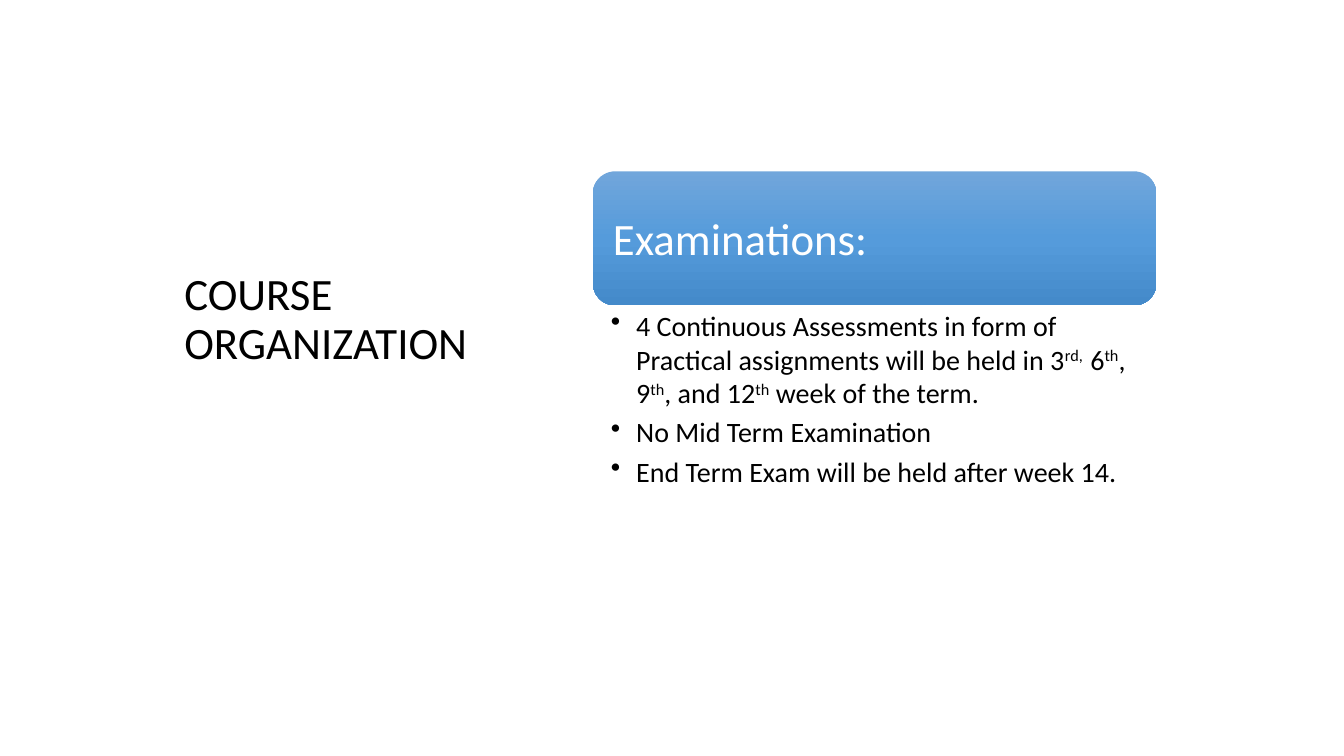
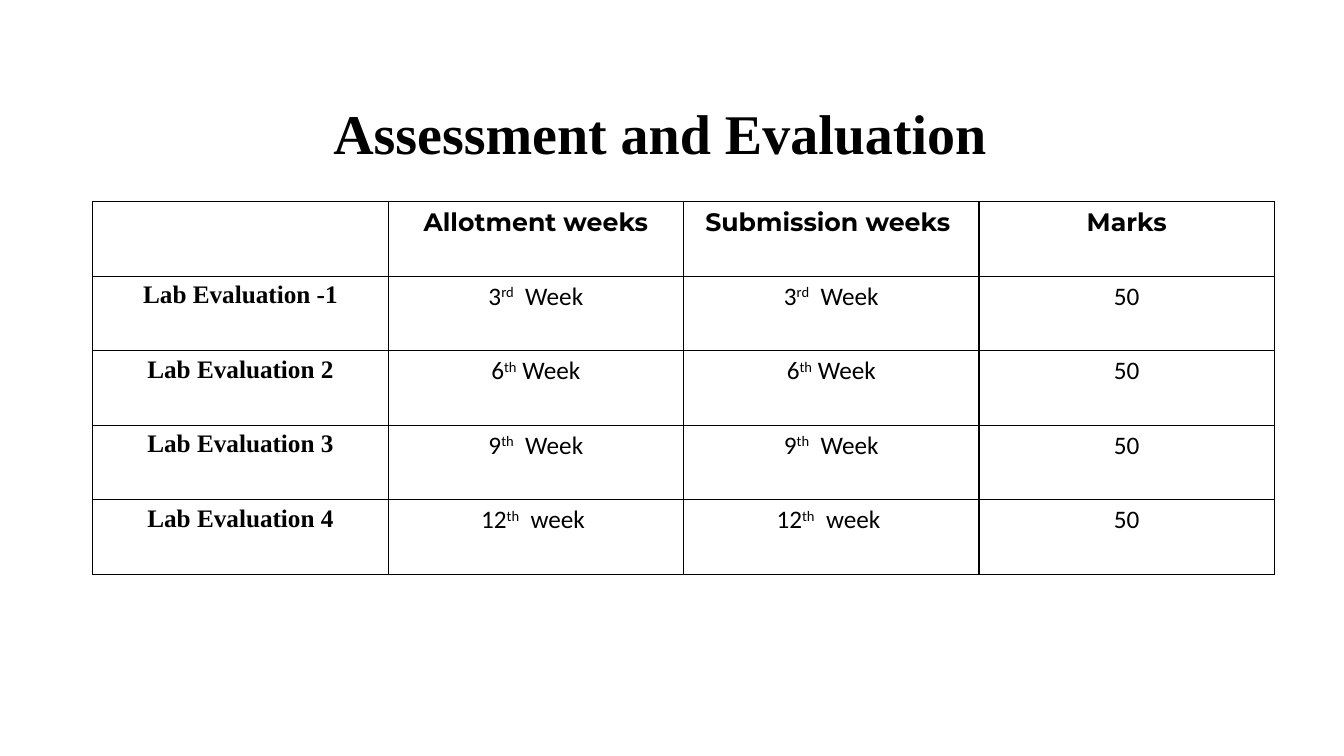
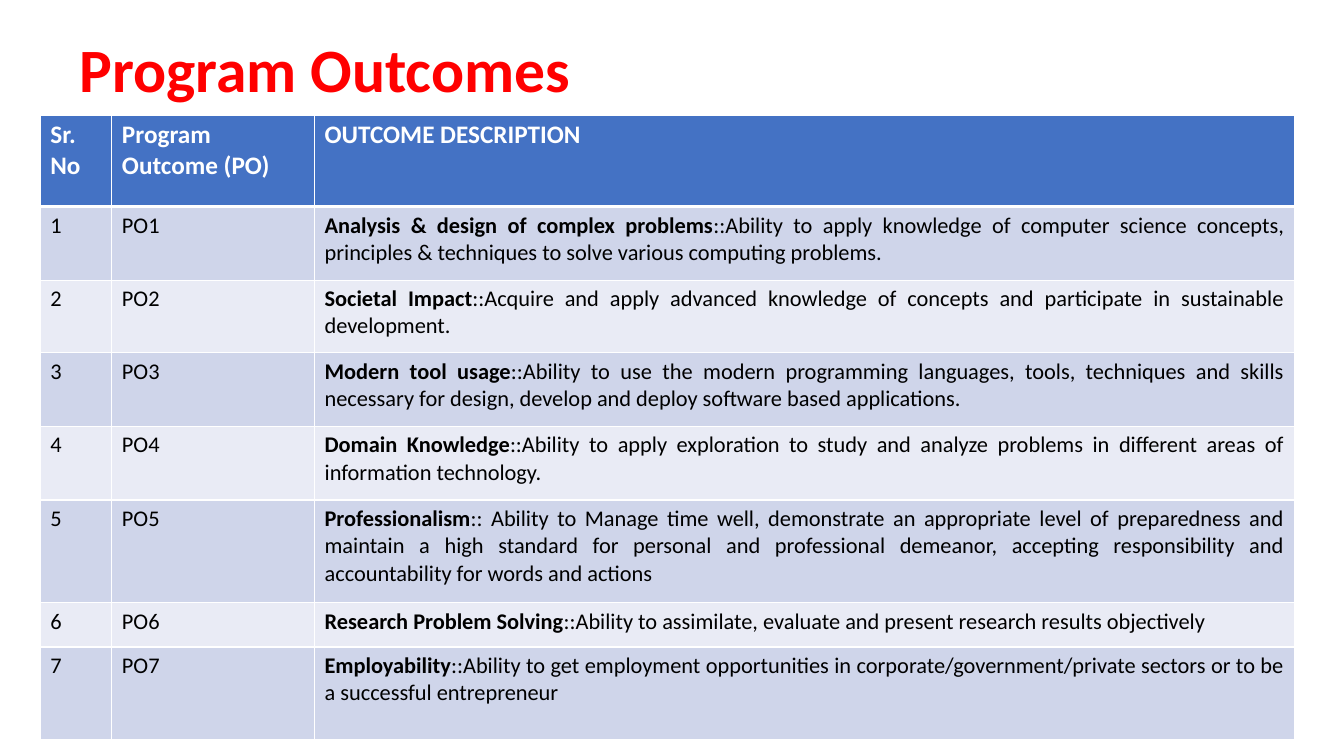
from copy import deepcopy
from dataclasses import dataclass
from typing import NamedTuple

from pptx import Presentation
from pptx.dml.color import RGBColor
from pptx.enum.shapes import MSO_SHAPE
from pptx.enum.text import MSO_ANCHOR, PP_ALIGN
from pptx.oxml.ns import qn
from pptx.util import Emu, Pt
from lxml.etree import SubElement

EMU_PER_PX = 9144  # 100 px to the inch

BLACK, WHITE, RED = "000000", "FFFFFF", "FF0000"
HEADER_BLUE = "4472C4"
BAND_FILLS = ("CFD5EA", "E9EBF5")
BANNER_STOPS = ((0, "71A6DB"), (0.5, "559BDB"), (1, "448ACA"))


class Box(NamedTuple):
    left: int
    top: int
    width: int
    height: int


class Insets(NamedTuple):
    left: int = 10
    top: int = 5
    right: int = 10
    bottom: int = 5


class Piece(NamedTuple):
    """A stretch of text that may differ from its paragraph."""
    text: str
    bold: bool = False
    raised: bool = False


@dataclass(frozen=True)
class TextStyle:
    size: int
    font: str = "Calibri"
    color: str = BLACK
    bold: bool = False
    align: PP_ALIGN = PP_ALIGN.LEFT
    line_spacing: float = 1.0
    space_after: int = 0
    bullet: bool = False


@dataclass(frozen=True)
class CellStyle:
    text: TextStyle
    border: str
    fill: str | None = None
    top_line: int = 1
    bottom_line: int = 1


@dataclass(frozen=True)
class Outcome:
    name: str
    description: str
    row_height: int


SECTION = TextStyle(32, line_spacing=0.9, space_after=6)
BANNER = TextStyle(32, color=WHITE)
BULLETS = TextStyle(20, space_after=4, bullet=True)
ASSESSMENT_TITLE = TextStyle(40, "Times New Roman", bold=True,
                             align=PP_ALIGN.CENTER, line_spacing=0.9)
OUTCOMES_TITLE = TextStyle(44, color=RED, bold=True, line_spacing=0.9)

WEEK_HEADER = TextStyle(18, "Montserrat", bold=True, align=PP_ALIGN.CENTER)
WEEK_LABEL = TextStyle(18, "Times New Roman", bold=True, align=PP_ALIGN.CENTER)
WEEK_VALUE = TextStyle(18, align=PP_ALIGN.CENTER)
OUTCOME_HEADER = TextStyle(18, color=WHITE, bold=True, align=PP_ALIGN.JUSTIFY)
OUTCOME_BODY = TextStyle(16, align=PP_ALIGN.JUSTIFY)

EXAM_POINTS = (
    "4 Continuous Assessments in form of Practical assignments will be held in "
    "3^rd,  ^6^th^, 9^th^, and 12^th^ week of the term.",
    "No Mid Term Examination",
    "End Term Exam will be held after week 14.",
)
ASSESSMENT_HEADINGS = ("", "Allotment weeks", "Submission weeks ", "Marks")
LAB_WEEKS = (
    ("Lab Evaluation -1", "3^rd^  Week"),
    ("Lab Evaluation 2", "6^th^ Week"),
    ("Lab Evaluation 3", "9^th^  Week"),
    ("Lab Evaluation 4", "12^th^  week "),
)
LAB_MARKS = "50"
OUTCOME_HEADINGS = ("Sr. No", "Program Outcome (PO)", "OUTCOME DESCRIPTION")
OUTCOMES = (
    Outcome("Analysis & design of complex problems",
            "::Ability to apply knowledge of computer science concepts, principles "
            "& techniques to solve various computing problems.", 73),
    Outcome("Societal Impact",
            "::Acquire and apply advanced knowledge of concepts and participate in "
            "sustainable development.", 72),
    Outcome("Modern tool usage",
            "::Ability to use the modern programming languages, tools, techniques "
            "and skills necessary for design, develop and deploy software based "
            "applications.", 73),
    Outcome("Domain Knowledge",
            "::Ability to apply exploration to study and analyze problems in "
            "different areas of information technology.", 73),
    Outcome("Professionalism",
            ":: Ability to Manage time well, demonstrate an appropriate level of "
            "preparedness and maintain a high standard for personal and "
            "professional demeanor, accepting responsibility and accountability "
            "for words and actions", 102),
    Outcome("Research Problem Solving",
            "::Ability to assimilate, evaluate and present research results "
            "objectively", 44),
    Outcome("Employability",
            "::Ability to get employment opportunities in "
            "corporate/government/private sectors or to be a successful "
            "entrepreneur", 92),
)


def px(length: int) -> Emu:
    return Emu(length * EMU_PER_PX)


def rgb(color: str) -> RGBColor:
    return RGBColor.from_string(color)


def set_all(target, values: dict) -> None:
    for attribute, value in values.items():
        setattr(target, attribute, value)


def pieces_of(text: str) -> list[Piece]:
    """Split at carets: the text between two carets is superscript."""
    return [Piece(part, raised=index % 2 == 1)
            for index, part in enumerate(text.split("^")) if part]


def write(paragraph, content: str | list[Piece], style: TextStyle) -> None:
    if style.bullet:
        paragraph.level = 1
        properties = paragraph._p.get_or_add_pPr()
        properties.set("marL", str(px(25)))
        properties.set("indent", str(px(-25)))
        SubElement(properties, qn("a:buChar")).set("char", "•")
    set_all(paragraph, {
        "alignment": style.align,
        "line_spacing": style.line_spacing,
        "space_after": Pt(style.space_after),
    })
    for piece in pieces_of(content) if isinstance(content, str) else content:
        run = paragraph.add_run()
        run.text = piece.text
        set_all(run.font, {"name": style.font, "size": Pt(style.size),
                           "bold": style.bold or piece.bold})
        run.font.color.rgb = rgb(style.color)
        if piece.raised:
            run._r.get_or_add_rPr().set("baseline", "30000")


def add_text(slide, box: Box, texts: tuple[str, ...], style: TextStyle,
             anchor: MSO_ANCHOR = MSO_ANCHOR.TOP, insets: Insets = Insets()) -> None:
    frame = slide.shapes.add_textbox(*map(px, box)).text_frame
    set_all(frame, {"word_wrap": True, "vertical_anchor": anchor})
    set_all(frame, {f"margin_{side}": px(inset)
                    for side, inset in insets._asdict().items()})
    for index, text in enumerate(texts):
        paragraph = frame.add_paragraph() if index else frame.paragraphs[0]
        write(paragraph, text, style)


def add_banner(slide, box: Box) -> None:
    banner = slide.shapes.add_shape(MSO_SHAPE.ROUNDED_RECTANGLE, *map(px, box))
    banner.shadow.inherit = False
    banner.line.fill.background()
    banner.fill.gradient()
    banner.fill.gradient_angle = 270
    stop_list = banner._element.spPr.find(".//" + qn("a:gsLst"))
    stop_list.append(deepcopy(stop_list[0]))
    for stop, (position, color) in zip(banner.fill.gradient_stops, BANNER_STOPS):
        stop.position = position
        stop.color.rgb = rgb(color)


def add_grid(slide, left: int, top: int, widths: list[int], heights: list[int]):
    """Add a table without banding and return it."""
    box = Box(left, top, sum(widths), sum(heights))
    table = slide.shapes.add_table(len(heights), len(widths), *map(px, box)).table
    set_all(table, {"first_row": False, "horz_banding": False})
    for column, width in zip(table.columns, widths):
        column.width = px(width)
    for row, height in zip(table.rows, heights):
        row.height = px(height)
    return table


def fill_cell(cell, content: str | list[Piece], style: CellStyle) -> None:
    properties = cell._tc.get_or_add_tcPr()
    lines = {"L": 1, "R": 1, "T": style.top_line, "B": style.bottom_line}
    for side, width in lines.items():
        line = SubElement(properties, qn(f"a:ln{side}"), w=str(Pt(width)))
        solid = SubElement(line, qn("a:solidFill"))
        SubElement(solid, qn("a:srgbClr"), val=style.border)
    if style.fill:
        cell.fill.solid()
        cell.fill.fore_color.rgb = rgb(style.fill)
    else:
        cell.fill.background()
    write(cell.text_frame.paragraphs[0], content, style.text)


def build_organization(slide) -> None:
    add_text(slide, Box(173, 265, 396, 292), ("COURSE ORGANIZATION",), SECTION)
    add_banner(slide, Box(588, 170, 559, 133))
    add_text(slide, Box(595, 176, 546, 120), ("Examinations:",), BANNER,
             MSO_ANCHOR.MIDDLE, Insets(13, 13, 13, 13))
    add_text(slide, Box(588, 303, 559, 191), EXAM_POINTS, BULLETS,
             insets=Insets(18, 3, 16, 3))


def build_assessment(slide) -> None:
    add_text(slide, Box(92, 40, 1150, 145), ("Assessment and Evaluation",),
             ASSESSMENT_TITLE, MSO_ANCHOR.MIDDLE, Insets(top=51, right=35))
    rows = [ASSESSMENT_HEADINGS]
    rows += [(lab, week, week, LAB_MARKS) for lab, week in LAB_WEEKS]
    table = add_grid(slide, 92, 200, [293] * 4, [74] * len(rows))
    for row, texts in enumerate(rows):
        for column, text in enumerate(texts):
            if row == 0:
                style = WEEK_HEADER
            else:
                style = WEEK_VALUE if column else WEEK_LABEL
            fill_cell(table.cell(row, column), text, CellStyle(style, BLACK))


def build_outcomes(slide) -> None:
    add_text(slide, Box(69, 29, 849, 85), ("Program Outcomes",), OUTCOMES_TITLE,
             MSO_ANCHOR.MIDDLE)
    heights = [91] + [outcome.row_height for outcome in OUTCOMES]
    table = add_grid(slide, 40, 114, [71, 201, 972], heights)
    header = CellStyle(OUTCOME_HEADER, WHITE, HEADER_BLUE, bottom_line=3)
    for column, heading in enumerate(OUTCOME_HEADINGS):
        fill_cell(table.cell(0, column), heading, header)
    for number, outcome in enumerate(OUTCOMES, start=1):
        style = CellStyle(OUTCOME_BODY, WHITE, BAND_FILLS[(number - 1) % 2],
                          top_line=3 if number == 1 else 1)
        description = [Piece(outcome.name, bold=True), Piece(outcome.description)]
        for column, content in enumerate((str(number), f"PO{number}", description)):
            fill_cell(table.cell(number, column), content, style)


def main() -> None:
    deck = Presentation()
    set_all(deck, {"slide_width": px(1333), "slide_height": px(750)})
    blank = deck.slide_layouts[6]
    for build in (build_organization, build_assessment, build_outcomes):
        build(deck.slides.add_slide(blank))
    deck.save("out.pptx")


if __name__ == "__main__":
    main()
